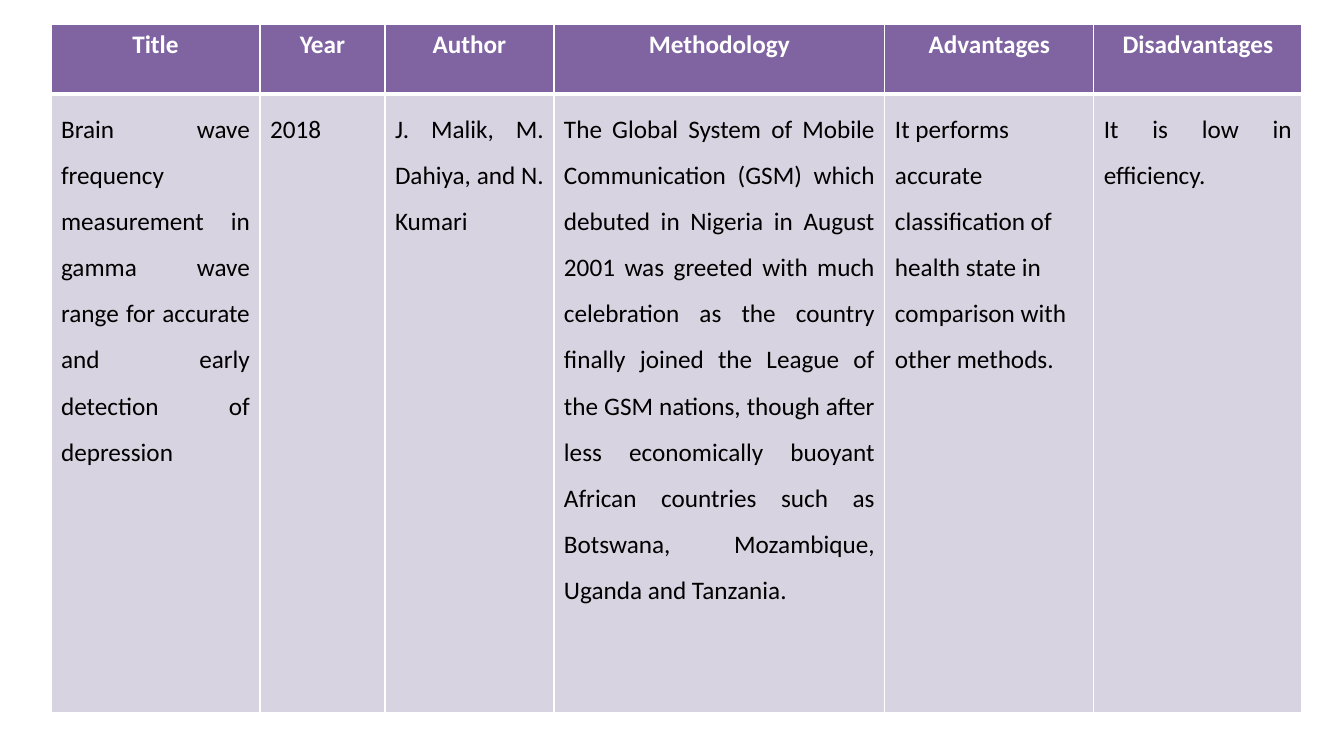
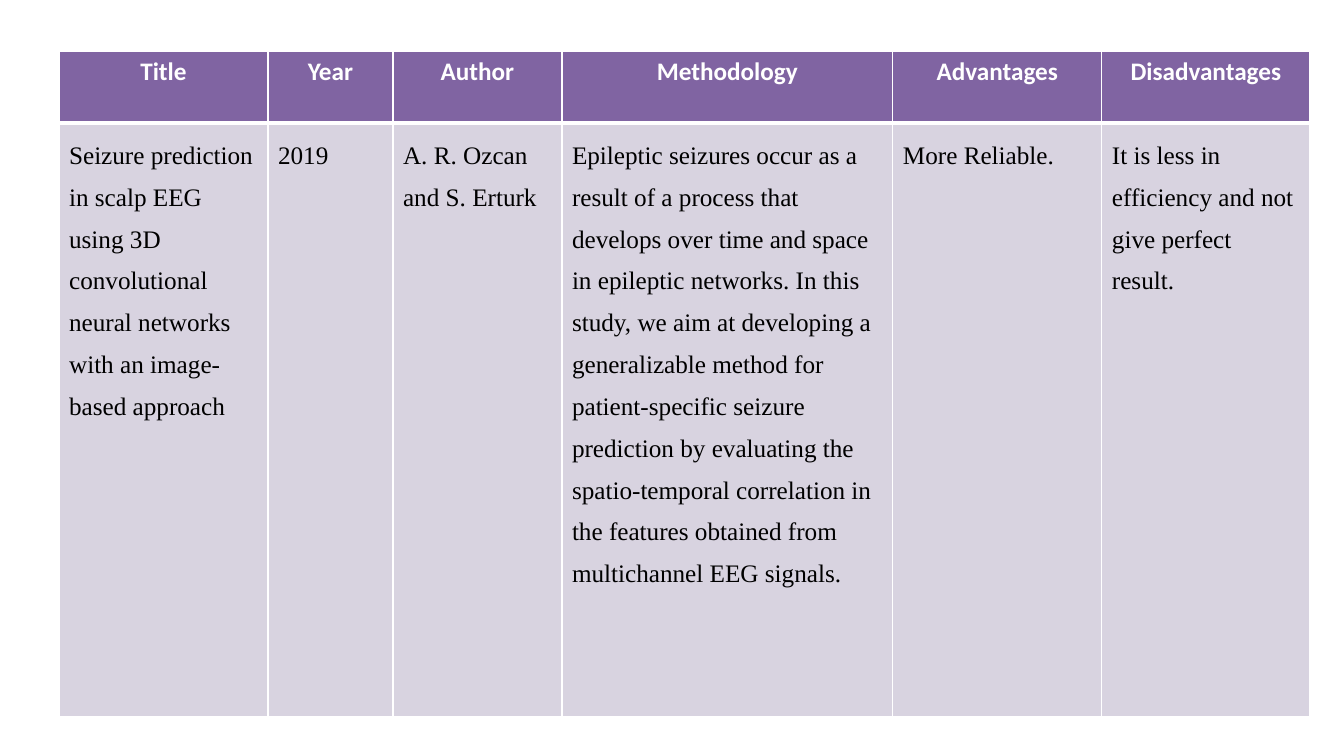
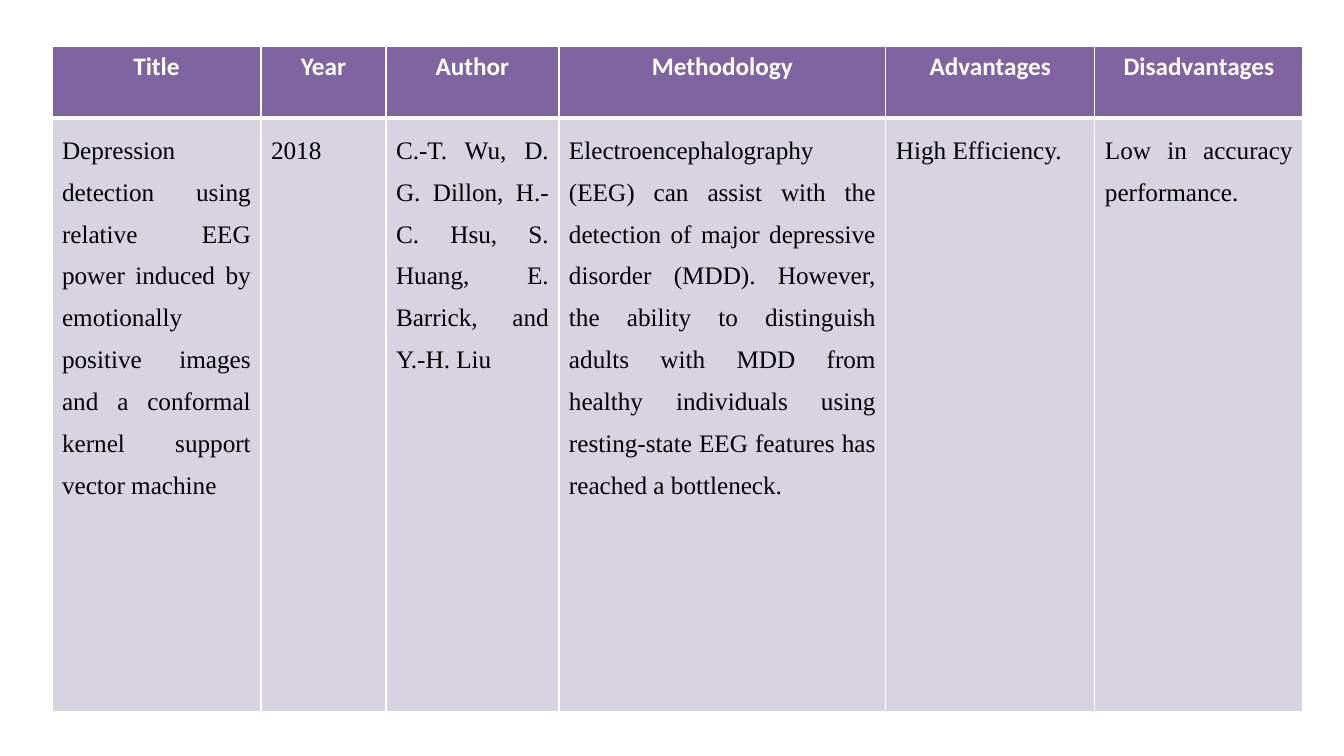
from dataclasses import dataclass

from lxml.etree import SubElement
from pptx import Presentation
from pptx.dml.color import RGBColor
from pptx.enum.text import PP_ALIGN
from pptx.oxml.ns import qn
from pptx.util import Pt

EMU_PER_PIXEL = 914400 / 100.8


def px(pixels):
    return round(pixels * EMU_PER_PIXEL)


@dataclass(frozen=True)
class Theme:
    heading_fill: str = "8064A2"
    body_fill: str = "D8D3E0"
    heading_text: str = "FFFFFF"
    body_text: str = "000000"
    rule: str = "FFFFFF"
    thin_rule: int = 1
    thick_rule: int = 3
    text_size: int = 18
    heading_font: str = "Calibri"
    body_spacing: float = 1.5


class SurveyDeck:
    headings = ("Title", "Year", "Author", "Methodology", "Advantages", "Disadvantages")

    def __init__(self, theme):
        self.theme = theme
        self.presentation = Presentation()
        self.presentation.slide_width = px(1344)
        self.presentation.slide_height = px(756)
        self.slide = None

    def new_slide(self):
        blank_layout = self.presentation.slide_layouts[6]
        self.slide = self.presentation.slides.add_slide(blank_layout)

    def borders(self, cell, thick_side):
        properties = cell._tc.get_or_add_tcPr()
        for side in "LRTB":
            points = self.theme.thick_rule if side == thick_side else self.theme.thin_rule
            line = SubElement(properties, qn(f"a:ln{side}"), w=str(Pt(points)))
            SubElement(SubElement(line, qn("a:solidFill")), qn("a:srgbClr"), val=self.theme.rule)

    def cell(self, cell, text, fill, color, thick_side, font_format, paragraph_format):
        self.borders(cell, thick_side)
        cell.fill.solid()
        cell.fill.fore_color.rgb = RGBColor.from_string(fill)
        paragraph = cell.text_frame.paragraphs[0]
        run = paragraph.add_run()
        run.text = text
        run.font.color.rgb = RGBColor.from_string(color)
        font_format = {"size": Pt(self.theme.text_size), **font_format}
        for target, formats in ((run.font, font_format), (paragraph, paragraph_format)):
            for attribute, value in formats.items():
                setattr(target, attribute, value)

    def survey_table(self, left, top, widths, heights, entry, font, alignments):
        theme = self.theme
        table = self.slide.shapes.add_table(
            2, len(self.headings), px(left), px(top), px(sum(widths)), px(sum(heights))
        ).table
        table.horz_banding = False
        for column, width in zip(table.columns, widths):
            column.width = px(width)
        for row, height in zip(table.rows, heights):
            row.height = px(height)
        for index, (heading, text, alignment) in enumerate(zip(self.headings, entry, alignments)):
            self.cell(
                table.cell(0, index), heading, theme.heading_fill, theme.heading_text, "B",
                {"name": theme.heading_font, "bold": True},
                {"alignment": PP_ALIGN.CENTER},
            )
            self.cell(
                table.cell(1, index), text, theme.body_fill, theme.body_text, "T",
                {"name": font, "bold": False},
                {"alignment": alignment, "line_spacing": theme.body_spacing},
            )


LEFT, JUSTIFIED = PP_ALIGN.LEFT, PP_ALIGN.JUSTIFY
COMMON_WIDTHS = (209, 125, 169, 331, 209, 208)
WIDE_AUTHOR_WIDTHS = (209, 125, 173, 327, 209, 208)

SURVEYS = (
    {
        "left": 51, "top": 24, "widths": COMMON_WIDTHS, "heights": (70, 619),
        "font": "Calibri", "alignments": (JUSTIFIED,) * 4 + (LEFT, JUSTIFIED),
        "entry": (
            "Brain wave frequency measurement in gamma wave range for accurate and early "
            "detection of depression",
            "2018",
            "J. Malik, M. Dahiya, and N. Kumari",
            "The Global System of Mobile Communication (GSM) which debuted in Nigeria in "
            "August 2001 was greeted with much celebration as the country finally joined "
            "the League of the GSM nations, though after less economically buoyant African "
            "countries such as Botswana, Mozambique, Uganda and Tanzania.",
            "It performs accurate classification of health state in comparison with other "
            "methods.",
            "It is low in efficiency.",
        ),
    },
    {
        "left": 59, "top": 51, "widths": COMMON_WIDTHS, "heights": (72, 594),
        "font": "Times New Roman", "alignments": (LEFT,) * 6,
        "entry": (
            "Seizure prediction in scalp EEG using 3D convolutional neural networks with "
            "an image-based approach",
            "2019",
            "A. R. Ozcan and S. Erturk",
            "Epileptic seizures occur as a result of a process that develops over time and "
            "space in epileptic networks. In this study, we aim at developing a "
            "generalizable method for patient-specific seizure prediction by evaluating "
            "the spatio-temporal correlation in the features obtained from multichannel "
            "EEG signals.",
            "More Reliable.",
            "It is less in efficiency and not give perfect result.",
        ),
    },
    {
        "left": 52, "top": 46, "widths": WIDE_AUTHOR_WIDTHS, "heights": (72, 594),
        "font": "Times New Roman", "alignments": (JUSTIFIED,) * 6,
        "entry": (
            "Depression detection using relative EEG power induced by emotionally positive "
            "images and a conformal kernel support vector machine",
            "2018",
            "C.-T. Wu, D. G. Dillon, H.-C. Hsu, S. Huang, E. Barrick, and Y.-H. Liu",
            "Electroencephalography (EEG) can assist with the detection of major depressive "
            "disorder (MDD). However, the ability to distinguish adults with MDD from "
            "healthy individuals using resting-state EEG features has reached a bottleneck.",
            "High Efficiency.",
            "Low in accuracy performance.",
        ),
    },
)

deck = SurveyDeck(Theme())
for survey in SURVEYS:
    deck.new_slide()
    deck.survey_table(**survey)
deck.presentation.save("out.pptx")
